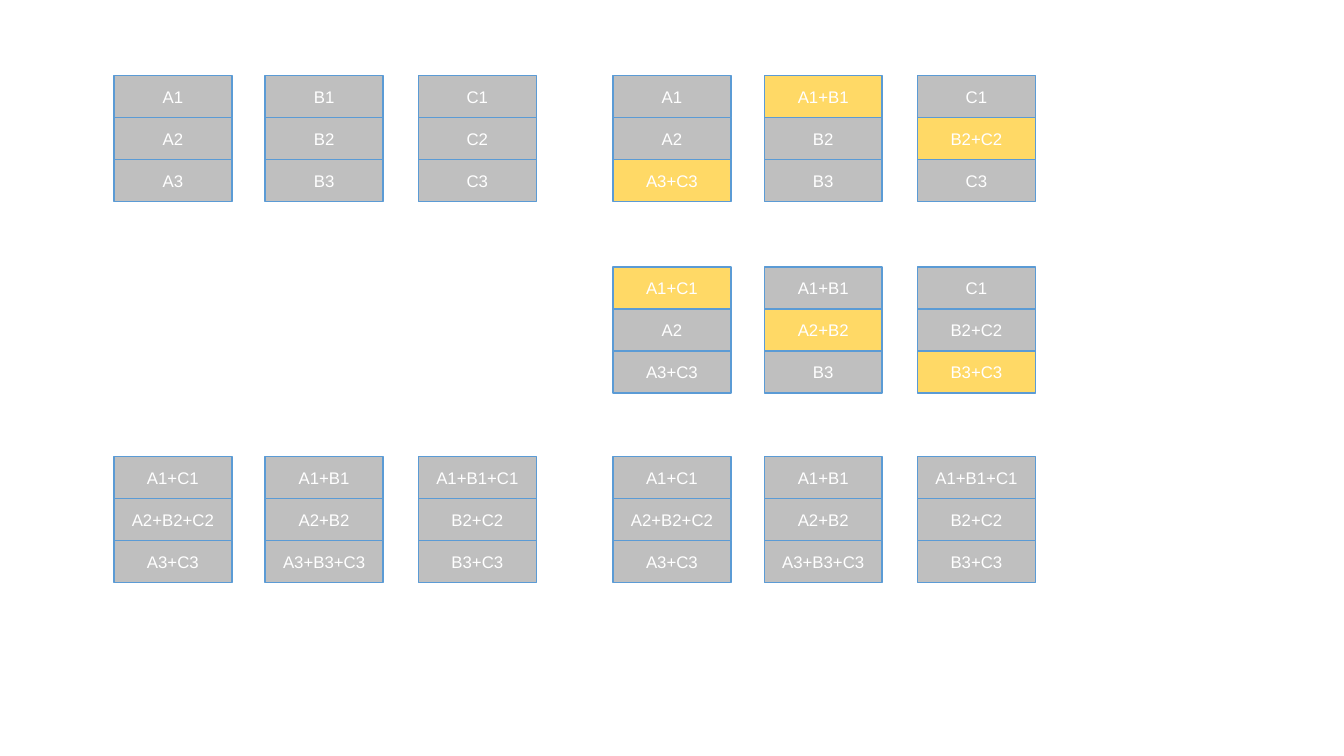
"""Builds a slide of three-node ring all-reduce stages as stacks of labelled cells."""
from dataclasses import dataclass

from pptx import Presentation
from pptx import util as u
from pptx.dml import color
from pptx.enum import shapes, text

COLORS = {"cell": "BFBFBF", "updated": "FFD966", "border": "5B9BD5", "label": "FFFFFF"}
FONT_FORMAT = {"name": "Arial", "size": u.Pt(12)}
FRAME_FORMAT = {"word_wrap": True, "vertical_anchor": text.MSO_ANCHOR.MIDDLE}
CELL_WIDTH = u.Inches(1.17)
CELL_HEIGHT = u.Inches(1.25 / 3)
NODE_OFFSETS = (0, 1.5, 3.02)
LEFT_GROUP, RIGHT_GROUP = 1.13, 6.08
TOP_ROW, MIDDLE_ROW, BOTTOM_ROW = 0.75, 2.65, 4.53


@dataclass(frozen=True)
class Stage:
    """Holds one state of all nodes, with the updated row of each node."""

    left: float
    top: float
    nodes: tuple[str, ...]
    updated: tuple[int, ...] = ()


REDUCED = ("A1+C1 A2+B2+C2 A3+C3", "A1+B1 A2+B2 A3+B3+C3", "A1+B1+C1 B2+C2 B3+C3")
STAGES = (
    Stage(LEFT_GROUP, TOP_ROW, ("A1 A2 A3", "B1 B2 B3", "C1 C2 C3")),
    Stage(RIGHT_GROUP, TOP_ROW, ("A1 A2 A3+C3", "A1+B1 B2 B3", "C1 B2+C2 C3"), (2, 0, 1)),
    Stage(RIGHT_GROUP, MIDDLE_ROW,
          ("A1+C1 A2 A3+C3", "A1+B1 A2+B2 B3", "C1 B2+C2 B3+C3"), (0, 1, 2)),
    Stage(RIGHT_GROUP, BOTTOM_ROW, REDUCED),
    Stage(LEFT_GROUP, BOTTOM_ROW, REDUCED),
)


def apply_format(target: object, values: dict) -> None:
    """Sets each named attribute on the target."""
    for name, value in values.items():
        setattr(target, name, value)


def rgb(name: str) -> color.RGBColor:
    """Returns the named colour."""
    return color.RGBColor.from_string(COLORS[name])


def draw_cell(slide, left: int, top: int, label: str, fill: str) -> None:
    """Draws one labelled data cell."""
    shape = slide.shapes.add_shape(
        shapes.MSO_SHAPE.RECTANGLE, left, top, CELL_WIDTH, CELL_HEIGHT)
    shape.shadow.inherit = False
    shape.fill.solid()
    shape.fill.fore_color.rgb = rgb(fill)
    shape.line.color.rgb = rgb("border")
    shape.line.width = u.Pt(1)
    apply_format(shape.text_frame, FRAME_FORMAT)
    paragraph = shape.text_frame.paragraphs[0]
    paragraph.alignment = text.PP_ALIGN.CENTER
    run = paragraph.add_run()
    run.text = label
    apply_format(run.font, FONT_FORMAT)
    run.font.color.rgb = rgb("label")


def draw_stage(slide, stage: Stage) -> None:
    """Draws the cell stacks of every node in a stage."""
    for node, labels in enumerate(stage.nodes):
        left = u.Inches(stage.left + NODE_OFFSETS[node])
        for row, label in enumerate(labels.split()):
            is_updated = bool(stage.updated) and stage.updated[node] == row
            top = u.Inches(stage.top) + row * CELL_HEIGHT
            draw_cell(slide, left, top, label, "updated" if is_updated else "cell")


def main() -> None:
    """Creates and saves the presentation."""
    presentation = Presentation()
    presentation.slide_width = u.Inches(13.33)
    presentation.slide_height = u.Inches(7.5)
    slide = presentation.slides.add_slide(presentation.slide_layouts[6])
    for stage in STAGES:
        draw_stage(slide, stage)
    presentation.save("out.pptx")


main()
